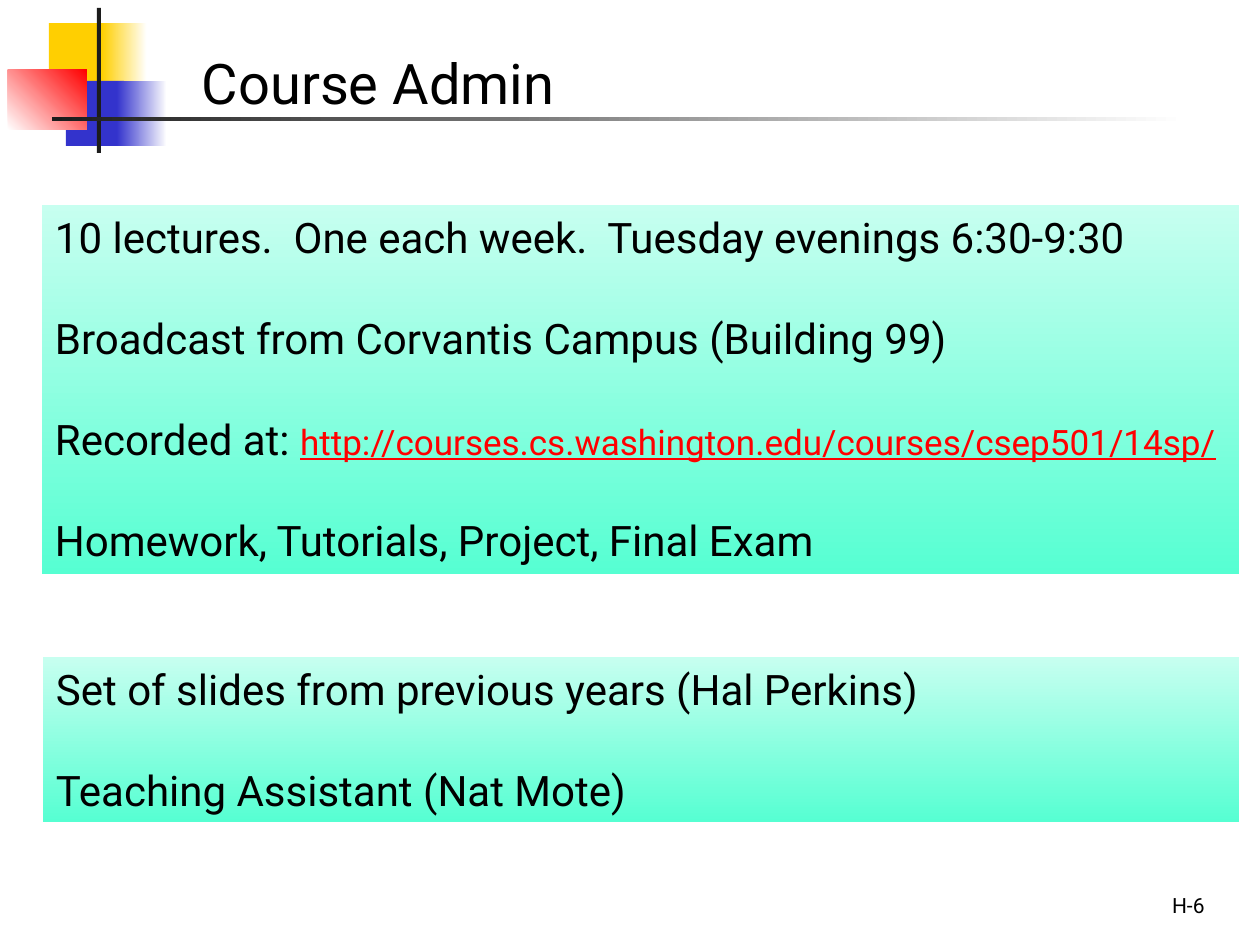
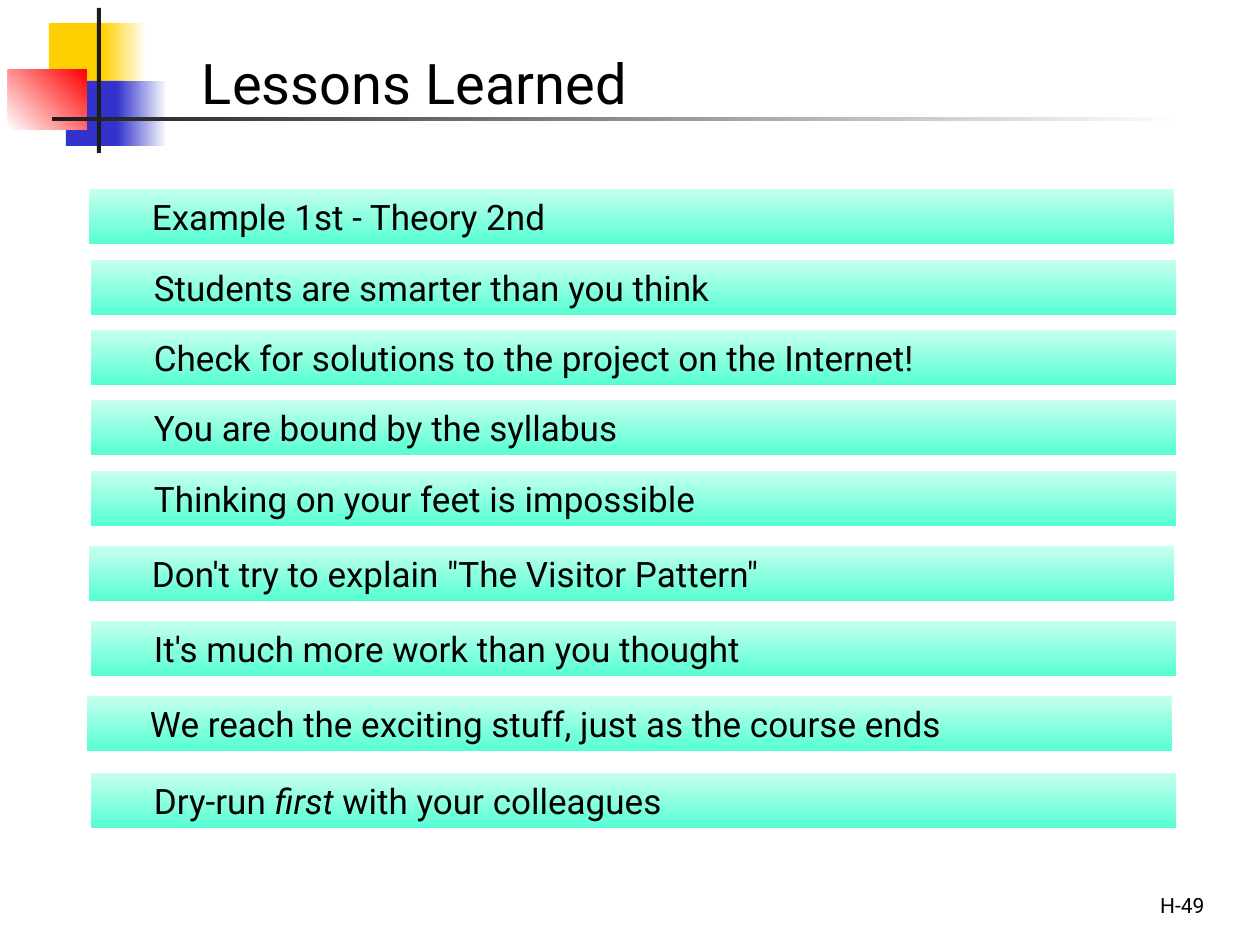
"""Build the course administration and lessons learned slides."""
from dataclasses import dataclass

import pptx
import pptx.dml.color
import pptx.enum.shapes
import pptx.enum.text
import pptx.presentation
import pptx.shapes.autoshape
import pptx.slide
import pptx.text.text
import pptx.util

PIXELS_PER_INCH = 126
EMU_PER_PIXEL = 914400 / PIXELS_PER_INCH


@dataclass(frozen=True)
class Theme:
    font: str = "Roboto"
    text: str = "000000"
    link: str = "FF0000"
    white: str = "FFFFFF"
    yellow: str = "FFCF01"
    blue: str = "3333CC"
    red: str = "FF0000"
    rule: str = "1C1C1C"
    band_top: str = "C7FFF0"
    band_bottom: str = "56FFD2"
    title_size: int = 32
    panel_size: int = 24
    lesson_size: int = 20
    footer_size: int = 12
    panel_gap: int = 29


THEME = Theme()


@dataclass(frozen=True)
class Area:
    left: int
    top: int
    width: int
    height: int


@dataclass(frozen=True)
class Fill:
    start: str
    end: str = ""
    angle: int = 0


@dataclass(frozen=True)
class Block:
    area: Area
    fill: Fill


@dataclass(frozen=True)
class Span:
    text: str
    italic: bool = False
    link: bool = False


@dataclass(frozen=True)
class Style:
    size: int
    gap: int = 0
    align_right: bool = False
    at_bottom: bool = False
    inset: int = 13


@dataclass(frozen=True)
class Panel:
    area: Area
    lines: list[list[Span]]


@dataclass(frozen=True)
class Lesson:
    left: int
    top: int
    spans: list[Span]


TITLE = Style(THEME.title_size)
FOOTER = Style(THEME.footer_size, align_right=True, at_bottom=True)
PANEL = Style(THEME.panel_size, gap=THEME.panel_gap)
LESSON = Style(THEME.lesson_size, inset=63)

BAND = Fill(THEME.band_top, THEME.band_bottom, 270)
FOOTER_AREA = Area(955, 861, 262, 63)
LESSON_WIDTH, LESSON_HEIGHT = 1085, 55

EMBLEM = [
    Block(Area(49, 23, 60, 58), Fill(THEME.yellow)),
    Block(Area(102, 23, 45, 58), Fill(THEME.yellow, THEME.white)),
    Block(Area(66, 81, 58, 65), Fill(THEME.blue)),
    Block(Area(117, 81, 50, 65), Fill(THEME.blue, THEME.white)),
    Block(Area(8, 70, 79, 60), Fill(THEME.white, THEME.red, 45)),
    Block(Area(97, 8, 4, 145), Fill(THEME.rule)),
    Block(Area(52, 117, 1134, 4), Fill(THEME.rule, THEME.white)),
]

ADMIN_PANELS = [
    Panel(Area(42, 205, 1197, 369), [
        [Span("10 lectures.  One each week.  Tuesday evenings 6:30-9:30")],
        [Span("Broadcast from Corvantis Campus (Building 99)")],
        [Span("Recorded at: "),
         Span("http://courses.cs.washington.edu/courses/csep501/14sp/", link=True)],
        [Span("Homework, Tutorials, Project, Final Exam")],
    ]),
    Panel(Area(43, 657, 1196, 165), [
        [Span("Set of slides from previous years (Hal Perkins)")],
        [Span("Teaching Assistant (Nat Mote)")],
    ]),
]

LESSONS = [
    Lesson(89, 189, [Span("Example 1st - Theory 2nd")]),
    Lesson(91, 260, [Span("Students are smarter than you think")]),
    Lesson(91, 330, [Span("Check for solutions to the project on the Internet!")]),
    Lesson(91, 400, [Span("You are bound by the syllabus")]),
    Lesson(91, 471, [Span("Thinking on your feet is impossible")]),
    Lesson(89, 546, [Span("Don't try to explain \"The Visitor Pattern\"")]),
    Lesson(91, 621, [Span("It's much more work than you thought")]),
    Lesson(87, 696, [Span("We reach the exciting stuff, just as the course ends")]),
    Lesson(91, 773, [Span("Dry-run "), Span("first ", italic=True),
                     Span("with your colleagues")]),
]


def px(length: int) -> pptx.util.Emu:
    return pptx.util.Emu(round(length * EMU_PER_PIXEL))


def place(area: Area) -> tuple[pptx.util.Emu, ...]:
    return px(area.left), px(area.top), px(area.width), px(area.height)


def color(code: str) -> pptx.dml.color.RGBColor:
    return pptx.dml.color.RGBColor.from_string(code)


def add_block(page: pptx.slide.Slide, block: Block) -> pptx.shapes.autoshape.Shape:
    box = page.shapes.add_shape(
        pptx.enum.shapes.MSO_SHAPE.RECTANGLE, *place(block.area))
    box.shadow.inherit = False
    box.line.fill.background()
    if block.fill.end:
        box.fill.gradient()
        box.fill.gradient_angle = block.fill.angle
        for stop, code in zip(box.fill.gradient_stops, (block.fill.start, block.fill.end)):
            stop.color.rgb = color(code)
    else:
        box.fill.solid()
        box.fill.fore_color.rgb = color(block.fill.start)
    return box


def add_span(para: pptx.text.text._Paragraph, span: Span) -> None:
    run = para.add_run()
    run.text = span.text
    if span.italic:
        run.font.italic = True
    if span.link:
        run.font.size = pptx.util.Pt(THEME.lesson_size)
        run.font.color.rgb = color(THEME.link)
        run.font.underline = True


def write(box: pptx.shapes.autoshape.Shape, lines: list[list[Span]], style: Style) -> None:
    frame = box.text_frame
    frame.word_wrap = True
    frame.margin_left = px(style.inset)
    anchors = pptx.enum.text.MSO_ANCHOR
    frame.vertical_anchor = anchors.BOTTOM if style.at_bottom else anchors.TOP
    alignments = pptx.enum.text.PP_ALIGN
    for index, spans in enumerate(lines):
        para = frame.add_paragraph() if index else frame.paragraphs[0]
        para.alignment = alignments.RIGHT if style.align_right else alignments.LEFT
        if index:
            para.space_before = pptx.util.Pt(style.gap)
        para.font.name = THEME.font
        para.font.size = pptx.util.Pt(style.size)
        para.font.color.rgb = color(THEME.text)
        for span in spans:
            add_span(para, span)


def add_label(page: pptx.slide.Slide, area: Area, text: str, style: Style) -> None:
    write(page.shapes.add_textbox(*place(area)), [[Span(text)]], style)


def add_band(page: pptx.slide.Slide, panel: Panel, style: Style) -> None:
    write(add_block(page, Block(panel.area, BAND)), panel.lines, style)


def add_page(deck: pptx.presentation.Presentation, title: str, title_width: int,
             number: str) -> pptx.slide.Slide:
    page = deck.slides.add_slide(deck.slide_layouts[6])
    for block in EMBLEM:
        add_block(page, block)
    add_label(page, FOOTER_AREA, number, FOOTER)
    add_label(page, Area(189, 42, title_width, 81), title, TITLE)
    return page


def add_admin_page(deck: pptx.presentation.Presentation) -> None:
    page = add_page(deck, "Course Admin", 1071, "H-6")
    for panel in ADMIN_PANELS:
        add_band(page, panel, PANEL)


def add_lessons_page(deck: pptx.presentation.Presentation) -> None:
    page = add_page(deck, "Lessons Learned", 987, "H-49")
    for lesson in LESSONS:
        area = Area(lesson.left, lesson.top, LESSON_WIDTH, LESSON_HEIGHT)
        add_band(page, Panel(area, [lesson.spans]), LESSON)


def main() -> None:
    deck = pptx.Presentation()
    deck.slide_width, deck.slide_height = px(1260), px(945)
    add_admin_page(deck)
    add_lessons_page(deck)
    deck.save("out.pptx")


if __name__ == "__main__":
    main()
